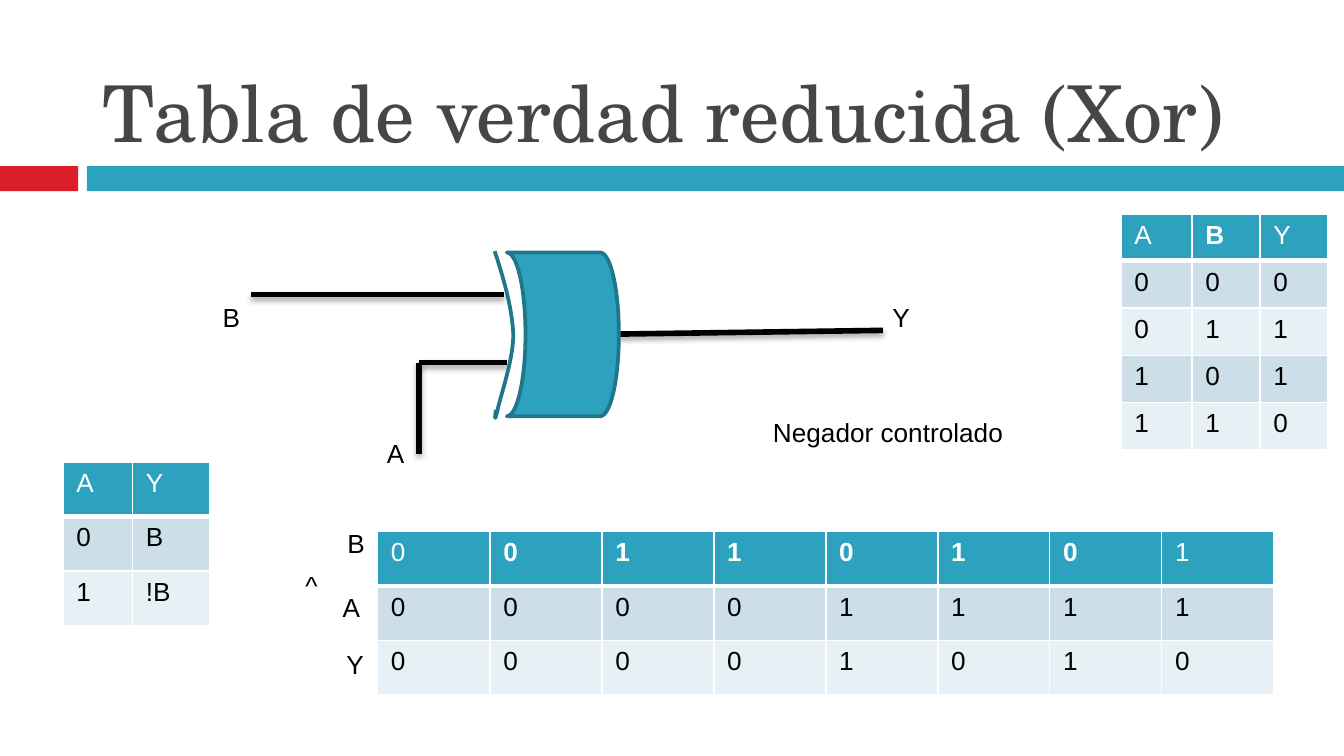
import pptx
import pptx.util
import pptx.dml.color
import pptx.enum.shapes
import pptx.enum.text
import pptx.oxml
import pptx.oxml.ns

Pt = pptx.util.Pt
Shape = pptx.enum.shapes.MSO_SHAPE
space = pptx.oxml.ns.nsdecls("a")


def color(code):
    return pptx.dml.color.RGBColor.from_string(code)


def curve(start, *parts, steps=10):
    """Points along a chain of cubic Bezier parts."""
    points = [start]
    for b, c, d in parts:
        a = points[-1]
        for i in range(1, steps + 1):
            t = i / steps
            u = 1 - t
            points.append(tuple(
                u**3 * a[k] + 3 * u * u * t * b[k] + 3 * u * t * t * c[k] + t**3 * d[k]
                for k in (0, 1)))
    return points


class Board:
    teal, edge, red = "2DA2BF", "20768B", "DA1F28"
    white, black, gray = "FFFFFF", "000000", "464646"
    bands = "CCDFE8", "E7F0F4"
    font, serif, size = "Arial", "TeX Gyre Schola", 14

    def __init__(self, slide):
        self.shapes = slide.shapes

    def run(self, para, text, size=None, font=None, ink=None, bold=False):
        run = para.add_run()
        run.text = text
        run.font.size = Pt(size or self.size)
        run.font.name = font or self.font
        run.font.bold = bold
        run.font.color.rgb = color(ink or self.black)

    def label(self, text, x, y, w=23.75, h=24.25, low=False, **style):
        frame = self.shapes.add_textbox(Pt(x), Pt(y), Pt(w), Pt(h)).text_frame
        frame.word_wrap = True
        if low:
            frame.vertical_anchor = pptx.enum.text.MSO_ANCHOR.BOTTOM
        self.run(frame.paragraphs[0], text, **style)

    def outline(self, shape, ink, width):
        shape.line.color.rgb = color(ink)
        shape.line.width = Pt(width)

    def block(self, kind, x, y, w, h, fill, line=None, turn=0):
        shape = self.shapes.add_shape(kind, Pt(x), Pt(y), Pt(w), Pt(h))
        shape.shadow.inherit = False
        shape.rotation = turn
        shape.fill.solid()
        shape.fill.fore_color.rgb = color(fill)
        if line:
            self.outline(shape, line, 2)
        else:
            shape.line.fill.background()

    def wire(self, x1, y1, x2, y2):
        line = self.shapes.add_connector(
            pptx.enum.shapes.MSO_CONNECTOR.STRAIGHT, Pt(x1), Pt(y1), Pt(x2), Pt(y2))
        self.outline(line, self.black, 3)
        line._element.spPr.append(pptx.oxml.parse_xml(
            f'<a:effectLst {space}><a:outerShdw blurRad="{Pt(3.1)}" '
            f'dist="{Pt(1.8)}" dir="5400000" rotWithShape="0"><a:srgbClr val="{self.black}">'
            '<a:alpha val="35000"/></a:srgbClr></a:outerShdw></a:effectLst>'))

    def stroke(self, points):
        dots = [(Pt(x), Pt(y)) for x, y in points]
        pen = self.shapes.build_freeform(*dots[0], scale=1.0)
        pen.add_line_segments(dots[1:], close=False)
        shape = pen.convert_to_shape()
        shape.shadow.inherit = False
        shape.fill.background()
        self.outline(shape, self.edge, 2)

    def border(self, cell, row):
        sides = {"L": 1, "R": 1, "T": 3 if row == 1 else 1, "B": 3 if row == 0 else 1}
        for side, width in sides.items():
            cell._tc.get_or_add_tcPr().append(pptx.oxml.parse_xml(
                f'<a:ln{side} {space} w="{Pt(width)}"><a:solidFill>'
                f'<a:srgbClr val="{self.white}"/></a:solidFill></a:ln{side}>'))

    def table(self, x, y, widths, high, rows):
        last = len(widths) - 1
        table = self.shapes.add_table(
            len(rows), len(widths), Pt(x), Pt(y), Pt(sum(widths)), Pt(high * len(rows))).table
        table.horz_banding = False
        for col, width in zip(table.columns, widths):
            col.width = Pt(width)
        for r, values in enumerate(rows):
            table.rows[r].height = Pt(high)
            for c, value in enumerate(values):
                cell = table.cell(r, c)
                self.border(cell, r)
                cell.fill.solid()
                cell.fill.fore_color.rgb = color(self.bands[(r - 1) % 2] if r else self.teal)
                # Only the inner header cells are bold
                self.run(cell.text_frame.paragraphs[0], value,
                         ink=self.black if r else self.white,
                         bold=r == 0 and 0 < c < last)


def main():
    deck = pptx.Presentation()
    deck.slide_width, deck.slide_height = Pt(720), Pt(405)
    board = Board(deck.slides.add_slide(deck.slide_layouts[6]))

    # Title and bars
    board.block(Shape.RECTANGLE, 0, 89, 41.9, 13.5, board.red)
    board.block(Shape.RECTANGLE, 46.6, 89, 673.4, 13.5, board.teal)
    board.label("Tabla de verdad reducida (Xor)", 48, 9.5, 642.5, 79, low=True,
                size=42, font=board.serif, ink=board.gray)

    # Reduced table
    board.table(33.75, 247.5, [37.2, 41.6], 29.2, ["AY", "0B", ["1", "!B"]])

    # Wires
    board.wire(134.5, 157.75, 270, 157.75)
    board.wire(331.5, 179, 473, 177)
    board.wire(224.5, 194.25, 271.5, 194.25)
    board.wire(224.5, 243.25, 224.5, 194.25)

    # Labels of the gate
    for name, x, y in [("B", 112.25, 158), ("Y", 471, 158), ("A", 200.25, 231)]:
        board.label(name, x, y)
    board.label("Negador controlado", 407, 219.5, w=142.5)

    # Worked example
    board.table(202.25, 284.75, [60.2] + [60] * 7, 29.2,
                ["00110101", "00001111", "00001010"])
    for name, x, y in [("^", 156.5, 301.75), ("B", 179, 279.25),
                       ("A", 176.5, 313.5), ("Y", 178.5, 343.75)]:
        board.label(name, x, y)

    # Xor gate
    board.block(Shape.FLOWCHART_STORED_DATA, 271.5, 135.25, 60, 87.75,
                board.teal, board.edge, turn=180)
    board.stroke(curve(
        (265, 134.6),
        ((270, 149.8), (274.3, 164.9), (275, 179.3)),
        ((275, 193), (267.8, 213.1), (266.4, 220.3)),
        ((265, 226.8), (265, 223.2), (265.7, 219.6))))

    # Full truth table
    board.table(600.5, 114.5, [38, 36.5, 36.5], 25.3, ["ABY", "000", "011", "101", "110"])

    deck.save("out.pptx")


if __name__ == "__main__":
    main()
